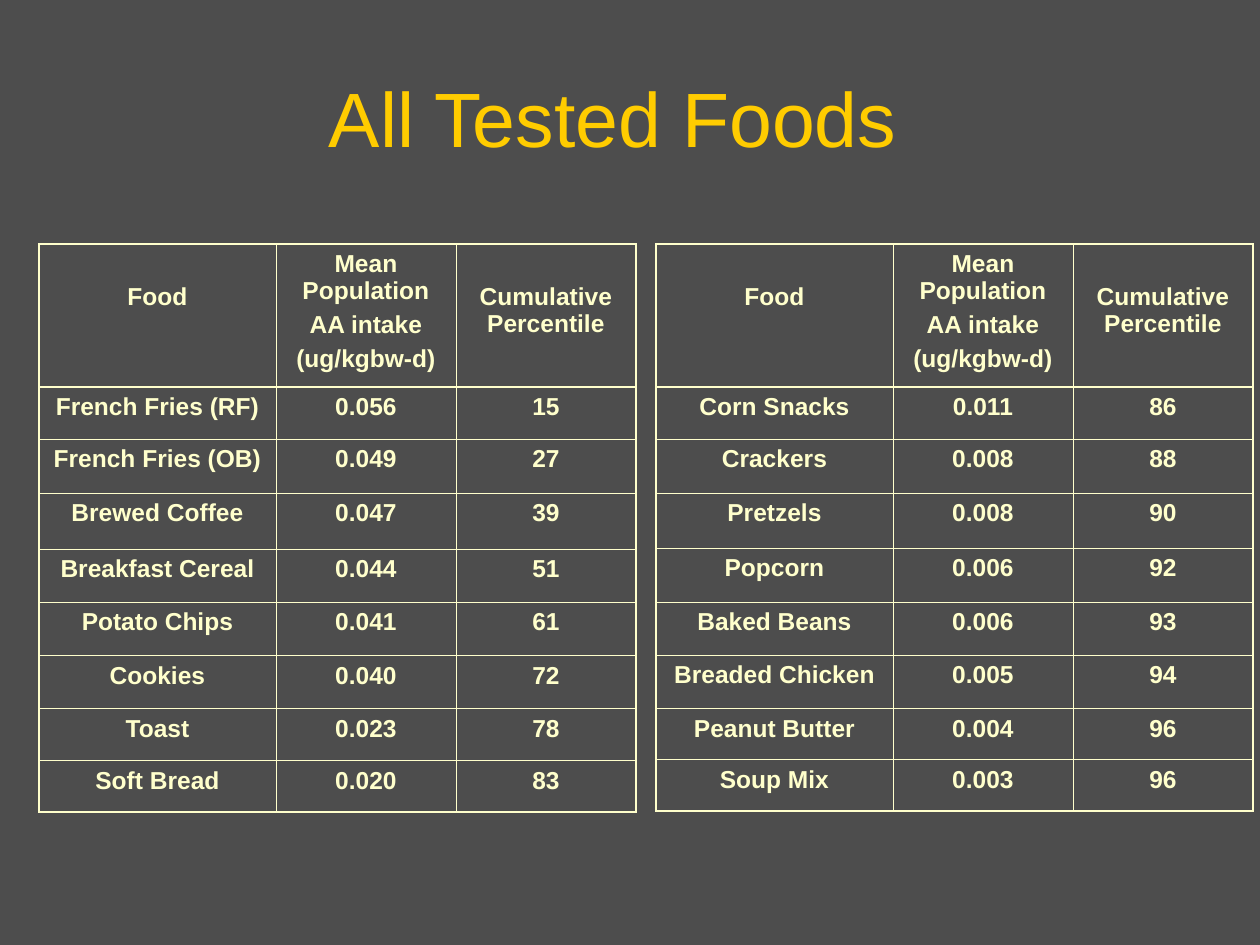
import pptx
import pptx.dml.color
import pptx.enum.text
import pptx.oxml.ns
import pptx.util
from lxml import etree

PX = 914400 / 126
BACKGROUND = pptx.dml.color.RGBColor(0x4D, 0x4D, 0x4D)
GOLD = pptx.dml.color.RGBColor(0xFF, 0xCC, 0x00)
CREAM = pptx.dml.color.RGBColor(0xFF, 0xFF, 0xCC)

THIN, FRAME, RULE = 0.45, 1.08, 1.47
COLUMN_WIDTHS = (237, 180, 180)
HEADER_HEIGHT = 143
LEFT_HEIGHTS = (52, 54, 56, 53, 54, 53, 52, 51)
RIGHT_HEIGHTS = (52, 54, 55, 54, 53, 54, 51, 51)
CELL_TOP = 6
LOWERED_TOP = 39

HEADERS = (
    ("Food", LOWERED_TOP),
    ("Mean Population\nAA intake\n(ug/kgbw-d)", CELL_TOP),
    ("Cumulative Percentile", LOWERED_TOP),
)
LEFT_FOODS = (
    ("French Fries (RF)", "0.056", "15"),
    ("French Fries (OB)", "0.049", "27"),
    ("Brewed Coffee", "0.047", "39"),
    ("Breakfast Cereal", "0.044", "51"),
    ("Potato Chips", "0.041", "61"),
    ("Cookies", "0.040", "72"),
    ("Toast", "0.023", "78"),
    ("Soft Bread", "0.020", "83"),
)
RIGHT_FOODS = (
    ("Corn Snacks", "0.011", "86"),
    ("Crackers", "0.008", "88"),
    ("Pretzels", "0.008", "90"),
    ("Popcorn", "0.006", "92"),
    ("Baked Beans", "0.006", "93"),
    ("Breaded Chicken", "0.005", "94"),
    ("Peanut Butter", "0.004", "96"),
    ("Soup Mix", "0.003", "96"),
)


def emu(pixels):
    return pptx.util.Emu(round(pixels * PX))


def write_text(frame, text, size, color, bold=False, space_before=0):
    for index, line in enumerate(text.split("\n")):
        para = frame.add_paragraph() if index else frame.paragraphs[0]
        para.alignment = pptx.enum.text.PP_ALIGN.CENTER
        para.space_before = pptx.util.Pt(space_before if index else 0)
        span = para.add_run()
        span.text = line
        span.font.name = "Arial"
        span.font.size = pptx.util.Pt(size)
        span.font.bold = bold
        span.font.color.rgb = color


def set_borders(cell, **widths):
    properties = cell._tc.get_or_add_tcPr()
    for side in ("L", "R", "T", "B"):
        line = etree.SubElement(properties, pptx.oxml.ns.qn(f"a:ln{side}"))
        line.set("w", str(pptx.util.Pt(widths[side])))
        fill = etree.SubElement(line, pptx.oxml.ns.qn("a:solidFill"))
        color = etree.SubElement(fill, pptx.oxml.ns.qn("a:srgbClr"))
        color.set("val", str(CREAM))


def add_title(page, text, left, top, width, height):
    box = page.shapes.title
    box.left, box.top, box.width, box.height = map(emu, (left, top, width, height))
    frame = box.text_frame
    frame.word_wrap = True
    frame.auto_size = pptx.enum.text.MSO_AUTO_SIZE.NONE
    frame.vertical_anchor = pptx.enum.text.MSO_ANCHOR.BOTTOM
    write_text(frame, text, size=44, color=GOLD)


def add_food_table(page, foods, food_heights, left, top):
    heights = (HEADER_HEIGHT, *food_heights)
    last_row, last_column = len(foods), len(COLUMN_WIDTHS) - 1
    box = page.shapes.add_table(
        len(heights), len(COLUMN_WIDTHS),
        emu(left), emu(top), emu(sum(COLUMN_WIDTHS)), emu(sum(heights)),
    )
    table = box.table
    table.first_row = False
    table.horz_banding = False
    for column, width in zip(table.columns, COLUMN_WIDTHS):
        column.width = emu(width)
    for row, height in zip(table.rows, heights):
        row.height = emu(height)

    rows = [HEADERS] + [[(text, CELL_TOP) for text in food] for food in foods]
    for row, values in enumerate(rows):
        for column, (text, margin) in enumerate(values):
            cell = table.cell(row, column)
            cell.margin_top = emu(margin)
            cell.vertical_anchor = pptx.enum.text.MSO_ANCHOR.TOP
            set_borders(
                cell,
                L=FRAME if column == 0 else THIN,
                R=FRAME if column == last_column else THIN,
                T={0: FRAME, 1: RULE}.get(row, THIN),
                B={0: RULE, last_row: FRAME}.get(row, THIN),
            )
            cell.fill.background()
            write_text(cell.text_frame, text, size=14, color=CREAM, bold=True, space_before=3.5)


def main():
    deck = pptx.Presentation()
    deck.slide_width, deck.slide_height = emu(1260), emu(945)
    page = deck.slides.add_slide(deck.slide_layouts[5])
    page.background.fill.solid()
    page.background.fill.fore_color.rgb = BACKGROUND
    add_title(page, "All Tested Foods", 84, 63, 1058, 106)
    add_food_table(page, LEFT_FOODS, LEFT_HEIGHTS, 39, 244)
    add_food_table(page, RIGHT_FOODS, RIGHT_HEIGHTS, 656, 244)
    deck.save("out.pptx")


if __name__ == "__main__":
    main()
